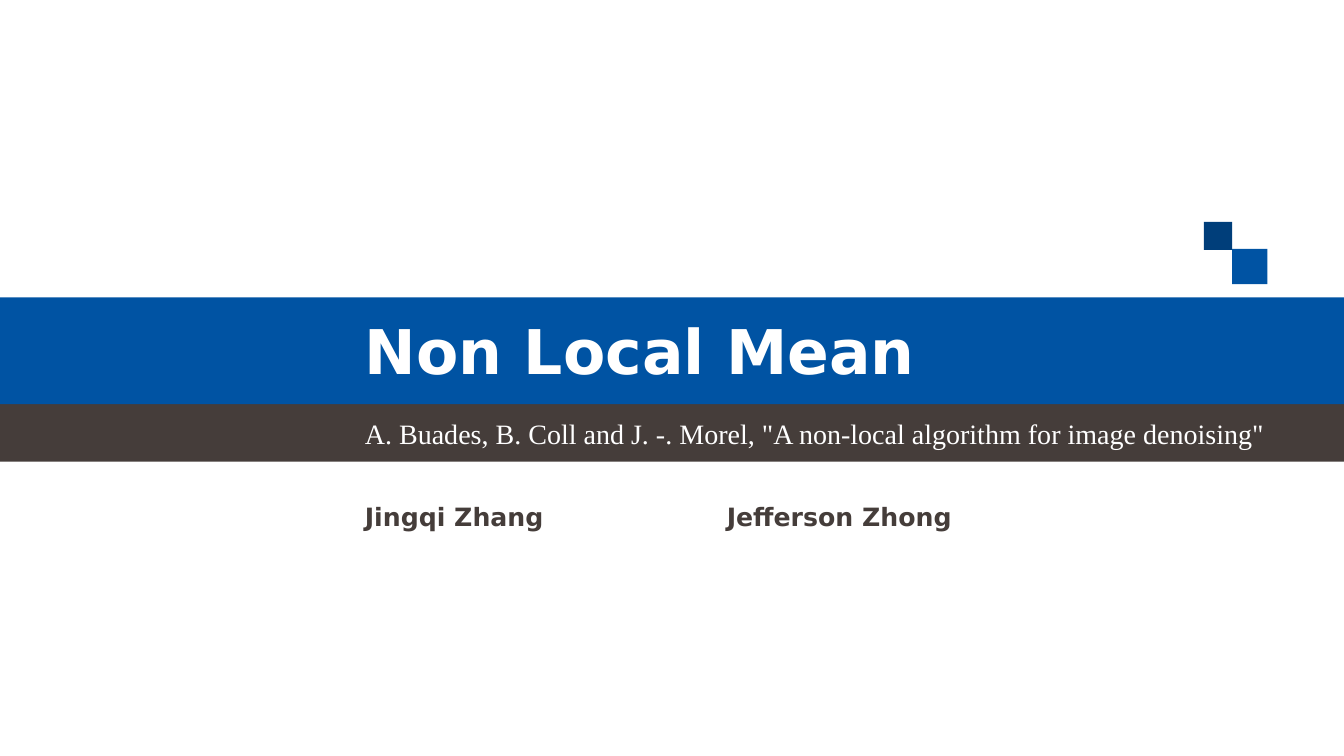
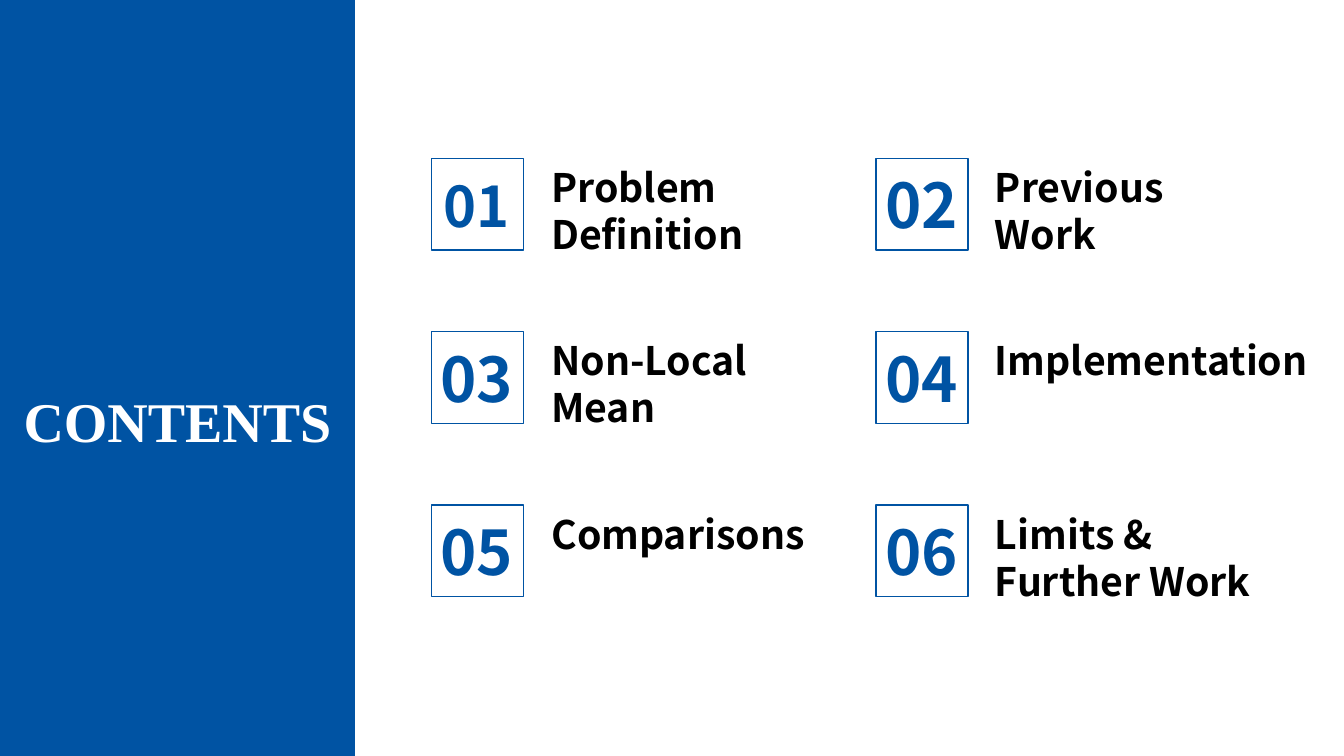
from dataclasses import dataclass

from pptx import Presentation
from pptx.dml.color import RGBColor
from pptx.enum.shapes import MSO_SHAPE
from pptx.enum.text import PP_ALIGN
from pptx.slide import Slide
from pptx.util import Inches, Pt

RECTANGLE = MSO_SHAPE.RECTANGLE
LEFT, CENTER = PP_ALIGN.LEFT, PP_ALIGN.CENTER
WIDTH, HEIGHT = 13.33, 7.5
MARGIN = 3.52
COLORS = {
    "blue": "0053A3",
    "navy": "003E7A",
    "brown": "453D3A",
    "white": "FFFFFF",
    "black": "000000",
}
BADGE_SIZE = 0.91
COLUMN_LEFTS = (4.28, 8.69)
LABEL_LEFTS = (5.37, 9.77)
FIRST_ROW, ROW_PITCH = 1.57, 1.72


@dataclass(frozen=True)
class Box:
    """Position and size in inches."""

    left: float
    top: float
    width: float
    height: float

    def lengths(self) -> tuple[Inches, Inches, Inches, Inches]:
        """Return the lengths that python-pptx expects."""
        return Inches(self.left), Inches(self.top), Inches(self.width), Inches(self.height)


@dataclass(frozen=True)
class TextStyle:
    """Look of a piece of text."""

    size: int
    font: str
    color: str
    bold: bool = True
    align: PP_ALIGN = LEFT


@dataclass(frozen=True)
class Topic:
    """One entry of the contents grid."""

    label: str
    width: float
    lines: int = 2
    number_size: int = 44


TITLE = TextStyle(44, "DejaVu Sans", "white")
AUTHOR = TextStyle(18, "DejaVu Sans", "brown")
CITATION = TextStyle(20, "Times New Roman", "white", bold=False)
HEADING = TextStyle(40, "Times New Roman", "white", align=CENTER)
LABEL = TextStyle(28, "Noto Sans CJK SC", "black")

TOPICS = (
    Topic("Problem Definition", 2.62, number_size=40),
    Topic("Previous Work", 2.62),
    Topic("Non-Local Mean", 2.99),
    Topic("Implementation", 3.5, lines=1),
    Topic("Comparisons", 2.94, lines=1),
    Topic("Limits & Further Work", 3.04),
)


def rgb(name: str) -> RGBColor:
    """Look up a named colour."""
    return RGBColor.from_string(COLORS[name])


def add_rectangle(slide: Slide, box: Box, fill: str | None = None, line: str | None = None) -> None:
    """Draw a flat rectangle with an optional fill and outline."""
    shape = slide.shapes.add_shape(RECTANGLE, *box.lengths())
    shape.shadow.inherit = False
    if fill:
        shape.fill.solid()
        shape.fill.fore_color.rgb = rgb(fill)
    else:
        shape.fill.background()
    if line:
        shape.line.color.rgb = rgb(line)
        shape.line.width = Pt(1)
    else:
        shape.line.fill.background()


def add_text(slide: Slide, box: Box, text: str, style: TextStyle) -> None:
    """Draw a wrapped one-paragraph text box."""
    text_frame = slide.shapes.add_textbox(*box.lengths()).text_frame
    text_frame.word_wrap = True
    text_frame.text = text
    paragraph = text_frame.paragraphs[0]
    paragraph.alignment = style.align
    font = paragraph.runs[0].font
    font.name = style.font
    font.size = Pt(style.size)
    font.bold = style.bold
    font.color.rgb = rgb(style.color)


def add_topic(slide: Slide, index: int, topic: Topic) -> None:
    """Draw a numbered badge and its label in the two-column grid."""
    row, column = divmod(index, len(COLUMN_LEFTS))
    top = FIRST_ROW + row * ROW_PITCH
    left = COLUMN_LEFTS[column]
    number_style = TextStyle(topic.number_size, LABEL.font, "blue", align=CENTER)
    number_top = top + (0.08 if topic.number_size < 44 else 0.04)
    label_height = 0.1 + 0.47 * topic.lines
    add_text(slide, Box(LABEL_LEFTS[column], top, topic.width, label_height), topic.label, LABEL)
    add_text(slide, Box(left - 0.04, number_top, 0.98, 0.84), f"{index + 1:02d}", number_style)
    add_rectangle(slide, Box(left, top, BADGE_SIZE, BADGE_SIZE), line="blue")


def build_cover(slide: Slide) -> None:
    """Draw the title slide."""
    add_rectangle(slide, Box(0, 4.01, WIDTH, 0.57), "brown")
    add_rectangle(slide, Box(0, 2.95, WIDTH, 1.06), "blue")
    add_rectangle(slide, Box(12.22, 2.47, 0.35, 0.35), "blue")
    add_rectangle(slide, Box(11.94, 2.2, 0.28, 0.28), "navy")
    add_text(slide, Box(MARGIN, 3.06, 9.06, 0.84), "Non Local Mean", TITLE)
    add_text(
        slide,
        Box(MARGIN, 4.08, 9.49, 0.44),
        'A. Buades, B. Coll and J. -. Morel, "A non-local algorithm for image denoising"',
        CITATION,
    )
    for left, author in ((MARGIN, "Jingqi Zhang"), (7.11, "Jefferson Zhong")):
        add_text(slide, Box(left, 4.92, 3.35, 0.4), author, AUTHOR)


def build_contents(slide: Slide) -> None:
    """Draw the contents slide."""
    add_rectangle(slide, Box(0, 0, MARGIN, HEIGHT), "blue")
    add_text(slide, Box(0, 3.79, MARGIN, 0.77), "CONTENTS", HEADING)
    for index, topic in enumerate(TOPICS):
        add_topic(slide, index, topic)


def main() -> None:
    """Build and save the presentation."""
    presentation = Presentation()
    presentation.slide_width = Inches(WIDTH)
    presentation.slide_height = Inches(HEIGHT)
    blank_layout = presentation.slide_layouts[6]
    for build in (build_cover, build_contents):
        build(presentation.slides.add_slide(blank_layout))
    presentation.save("out.pptx")


if __name__ == "__main__":
    main()
